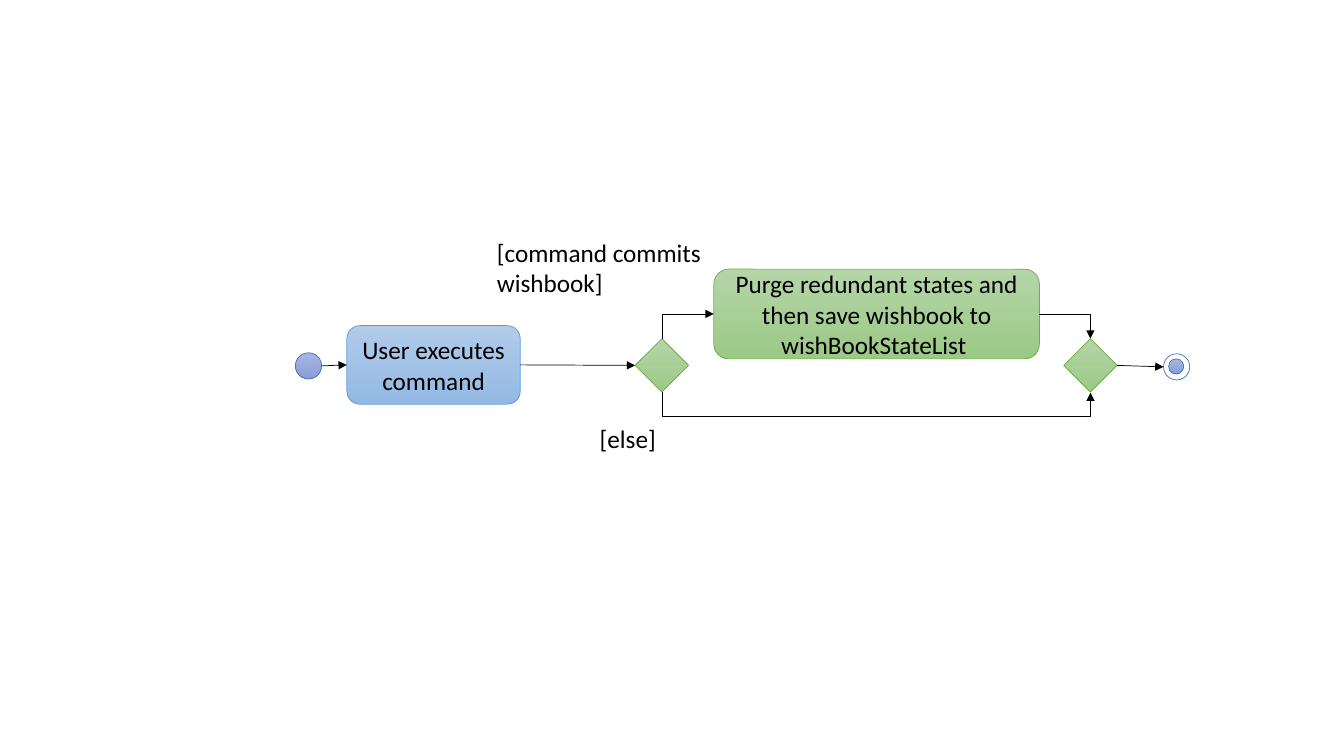
from pptx import Presentation
from pptx.dml.color import RGBColor
from pptx.enum.shapes import MSO_CONNECTOR as CONN, MSO_SHAPE as SHAPE
from pptx.enum.text import MSO_ANCHOR, MSO_AUTO_SIZE, PP_ALIGN
from pptx.oxml.ns import qn
from pptx.util import Inches, Pt
from lxml import etree

BLACK = RGBColor(0x00, 0x00, 0x00)
WHITE = RGBColor(0xFF, 0xFF, 0xFF)
# Each theme: gradient top, gradient bottom, outline
INDIGO = RGBColor(0xA8, 0xB7, 0xDF), RGBColor(0x88, 0x9E, 0xD7), RGBColor(0x44, 0x72, 0xC4)
BLUE = RGBColor(0xB1, 0xCB, 0xE9), RGBColor(0x93, 0xB9, 0xE4), RGBColor(0x5B, 0x9B, 0xD5)
GREEN = RGBColor(0xB5, 0xD5, 0xA7), RGBColor(0x9C, 0xC9, 0x87), RGBColor(0x70, 0xAD, 0x47)
HAIRLINE = Pt(0.5)
TOP, LEFT, BOTTOM, RIGHT = range(4)  # connection sites of boxes and diamonds

# Content: name -> preset, theme, (left, top, width, height), text
NODES = {
    "start": (SHAPE.OVAL, INDIGO, (2.93, 3.5, 0.26, 0.26), ""),
    "execute": (SHAPE.ROUNDED_RECTANGLE, BLUE, (3.44, 3.23, 1.72, 0.78),
                "User executes command"),
    "branch": (SHAPE.DIAMOND, GREEN, (6.3, 3.36, 0.53, 0.53), ""),
    "purge": (SHAPE.ROUNDED_RECTANGLE, GREEN, (7.08, 2.67, 3.23, 0.89),
              "Purge redundant states and then save wishbook to wishBookStateList "),
    "merge": (SHAPE.DIAMOND, GREEN, (10.55, 3.36, 0.53, 0.53), ""),
}
END_RING, END_DOT = (11.54, 3.51, 0.26, 0.26), (11.59, 3.56, 0.15, 0.15)
GUARDS = [
    ("[command commits wishbook]", (4.83, 2.3, 2.26, 0.71)),
    ("[else]", (5.85, 4.15, 0.93, 0.4)),
]
ELSE_DROP = 0.25  # how far the else path runs below the diamonds

prs = Presentation()
prs.slide_width, prs.slide_height = Inches(13.33), Inches(7.5)
slide = prs.slides.add_slide(prs.slide_layouts[6])


def write(frame, text, align):
    frame.word_wrap = True
    frame.text = text
    for paragraph in frame.paragraphs:
        paragraph.alignment = align
        for run in paragraph.runs:
            run.font.name, run.font.size = "Calibri", Pt(18)
            run.font.color.rgb = BLACK


def add_node(shapes, preset, theme, place, text="", hollow=False):
    node = shapes.add_shape(preset, *map(Inches, place))
    node.shadow.inherit = False
    top, bottom, outline = theme
    if hollow:
        node.fill.solid()
        node.fill.fore_color.rgb = WHITE
    else:
        node.fill.gradient()
        node.fill.gradient_angle = 270
        for stop, color in zip(node.fill.gradient_stops, (top, bottom)):
            stop.color.rgb = color
    node.line.color.rgb, node.line.width = outline, HAIRLINE
    if text:
        node.text_frame.vertical_anchor = MSO_ANCHOR.MIDDLE
        write(node.text_frame, text, PP_ALIGN.CENTER)
    return node


def add_arrow(kind, source=None, target=None, begin=(0, 0), end=(0, 0)):
    """Join (node, site) pairs; a free end uses its point instead."""
    arrow = slide.shapes.add_connector(kind, *map(Inches, begin + end))
    if source:
        arrow.begin_connect(*source)
    if target:
        arrow.end_connect(*target)
    arrow.line.color.rgb, arrow.line.width = BLACK, HAIRLINE
    etree.SubElement(arrow.line._get_or_add_ln(), qn("a:tailEnd"), type="triangle")
    etree.SubElement(arrow._element.spPr, qn("a:effectLst"))
    return arrow


def bend(arrow, preset, adjust=None):
    geometry = arrow._element.spPr.find(qn("a:prstGeom"))
    geometry.set("prst", preset)
    if adjust is not None:
        guides = geometry.find(qn("a:avLst"))
        etree.SubElement(guides, qn("a:gd"), name="adj1", fmla=f"val {round(adjust * 100000)}")


def turn(arrow, degrees, flips, least=0):
    """Rotate the frame so that the route leaves vertically."""
    middle_x, middle_y = arrow.left + arrow.width // 2, arrow.top + arrow.height // 2
    width, height = max(arrow.height, least), arrow.width
    arrow.left, arrow.top = middle_x - width // 2, middle_y - height // 2
    arrow.width, arrow.height = width, height
    frame = arrow._element.spPr.find(qn("a:xfrm"))
    for flip in ("flipH", "flipV"):
        frame.set(flip, str(int(flip in flips)))
    frame.set("rot", str(degrees * 60000))


# Activity nodes
nodes = {name: add_node(slide.shapes, *node) for name, node in NODES.items()}
execute, branch, purge, merge = (nodes[n] for n in ("execute", "branch", "purge", "merge"))

# Final node
final = slide.shapes.add_group_shape()
add_node(final.shapes, SHAPE.OVAL, INDIGO, END_RING, hollow=True)
add_node(final.shapes, SHAPE.OVAL, INDIGO, END_DOT)

# Guard labels
for guard, place in GUARDS:
    label = slide.shapes.add_textbox(*map(Inches, place))
    write(label.text_frame, guard, PP_ALIGN.LEFT)
    label.text_frame.auto_size = MSO_AUTO_SIZE.SHAPE_TO_FIT_TEXT

# Straight flow
add_arrow(CONN.STRAIGHT, target=(execute, LEFT), begin=(3.19, 3.63))
add_arrow(CONN.STRAIGHT, (execute, RIGHT), (branch, LEFT))
add_arrow(CONN.STRAIGHT, (merge, RIGHT), end=(11.54, 3.64))

# Commit path over the top
commit = add_arrow(CONN.ELBOW, (branch, TOP), (purge, LEFT))
bend(commit, "bentConnector2")
turn(commit, 90, ("flipH", "flipV"))
saved = add_arrow(CONN.ELBOW, (purge, RIGHT), (merge, TOP))
bend(saved, "bentConnector2")

# Else path underneath
otherwise = add_arrow(CONN.ELBOW, (branch, BOTTOM), (merge, BOTTOM))
turn(otherwise, 270, ("flipH",), least=Inches(0.01))
bend(otherwise, "bentConnector3", ELSE_DROP / 0.01)

prs.save("out.pptx")
